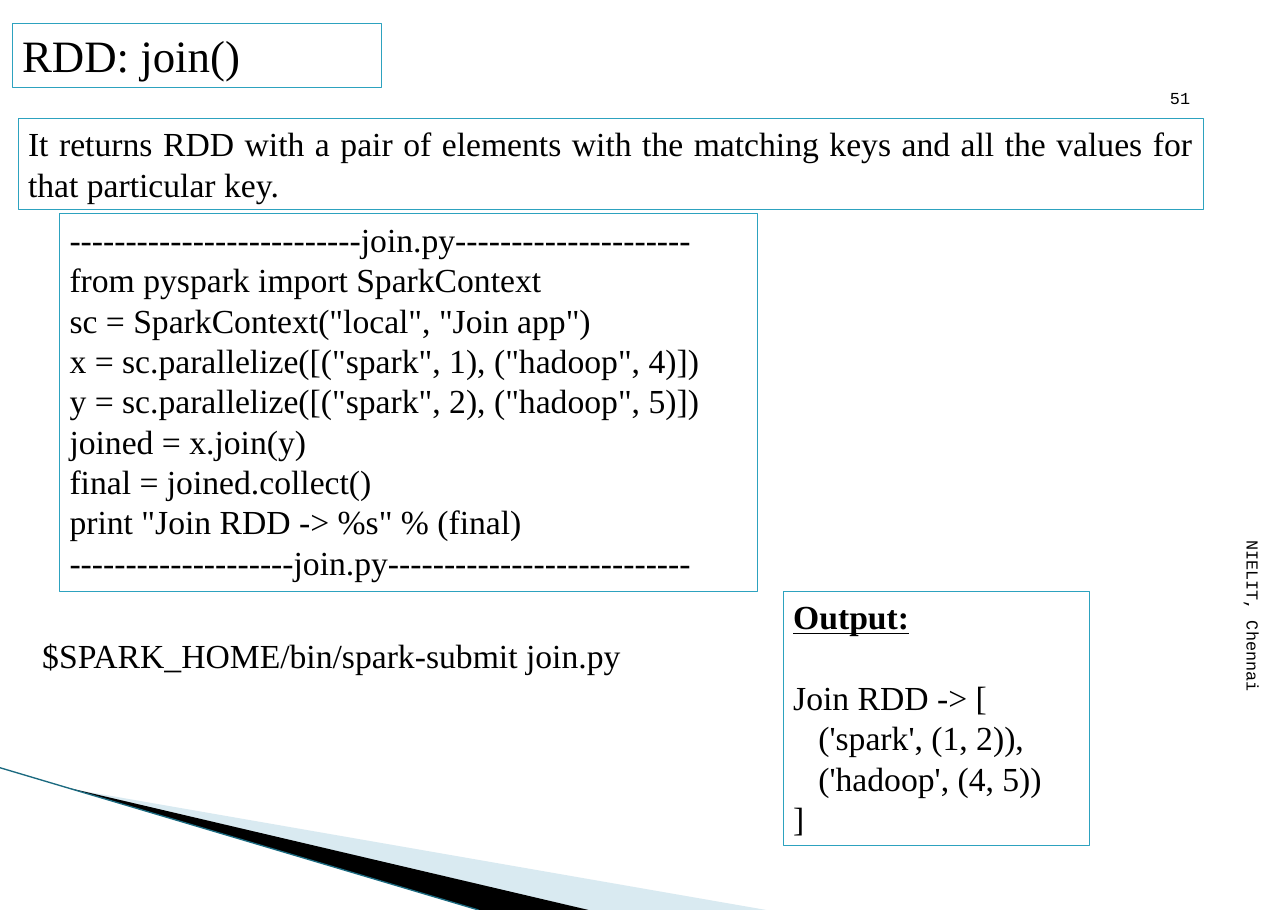
"""Build the RDD join() slide."""
from lxml.etree import SubElement
from pptx import Presentation
from pptx.dml.color import RGBColor
from pptx.enum.shapes import MSO_CONNECTOR as CONNECTOR, MSO_SHAPE as SHAPE
from pptx.enum.text import MSO_ANCHOR as ANCHOR, PP_ALIGN as ALIGN
from pptx.oxml.ns import qn
from pptx.util import Inches, Pt

WIDTH, HEIGHT = 12.76, 9.02
BLACK, TEAL, DARK_TEAL, PALE_BLUE = "000000", "2DA2BF", "1B6A80", "A0CBDC"
SERIF, MONO = "Times New Roman", "Courier New"
LINE_FACTOR = 1.2

TITLE = ["RDD: join()"]
DEFINITION = ["It returns RDD with a pair of elements with the matching keys "
              "and all the values for that particular key."]
CODE = [
    "--------------------------join.py---------------------",
    "from pyspark import SparkContext",
    'sc = SparkContext("local", "Join app")',
    'x = sc.parallelize([("spark", 1), ("hadoop", 4)])',
    'y = sc.parallelize([("spark", 2), ("hadoop", 5)])',
    "joined = x.join(y)",
    "final = joined.collect()",
    'print "Join RDD -> %s" % (final)',
    "--------------------join.py---------------------------",
]
COMMAND = ["$SPARK_HOME/bin/spark-submit join.py"]
OUTPUT = ["Output:", "Join RDD -> [", "   ('spark', (1, 2)),", "   ('hadoop', (4, 5))", "]"]

BOXES = [
    (TITLE, (0.12, 0.23, 3.66, 0.64), dict(size=32, align=ALIGN.JUSTIFY)),
    (DEFINITION, (0.18, 1.17, 11.74, 0.91), dict(align=ALIGN.JUSTIFY)),
    (CODE, (0.59, 2.12, 6.91, 3.74), dict(align=ALIGN.JUSTIFY)),
    (COMMAND, (0.32, 6.24, 7.18, 0.5), dict(border=None)),
    (OUTPUT, (7.76, 5.86, 3.03, 2.52), dict(heading=True)),
]
MARGIN_NOTES = [
    (["NIELIT, Chennai"], (9.88, 4.28, 5.07, 0.32), 90),
    (["51"], (10.8, 0.12, 1.11, 1.01), 0),
]
WEDGES = [
    ([(0.7, 7.82), (7.59, HEIGHT), (5.81, HEIGHT)], PALE_BLUE, 40),
    ([(0.68, 7.81), (5.83, HEIGHT), (4.74, HEIGHT)], BLACK, 100),
]
EDGE = [(0, 7.61), (4.74, HEIGHT)]


def color(value):
    return RGBColor.from_string(value)


def add_text(slide, lines, place, size=24, font=SERIF, align=ALIGN.LEFT,
             border=TEAL, heading=False, note=False, rotation=0):
    frame = [Inches(length) for length in place]
    if border:
        shape = slide.shapes.add_shape(SHAPE.RECTANGLE, *frame)
        shape.shadow.inherit = False
        shape.fill.background()
        shape.line.color.rgb = color(border)
        shape.line.width = Pt(0.75)
    else:
        shape = slide.shapes.add_textbox(*frame)
    shape.rotation = rotation
    text_frame = shape.text_frame
    text_frame.word_wrap = True
    text_frame.vertical_anchor = ANCHOR.BOTTOM if note else ANCHOR.TOP
    if note:
        text_frame.margin_left = text_frame.margin_right = Inches(0.12)
        text_frame.margin_top = text_frame.margin_bottom = Inches(0.06)
    for index, line in enumerate(lines):
        paragraph = text_frame.paragraphs[0] if index == 0 else text_frame.add_paragraph()
        paragraph.alignment = align
        if not note:
            paragraph.line_spacing = Pt(size * LINE_FACTOR)
        run = paragraph.add_run()
        run.text = line
        run.font.name, run.font.size = font, Pt(size)
        run.font.color.rgb = color(BLACK)
        if heading and index == 0:
            run.font.bold = run.font.underline = True
            paragraph.space_after = Pt(size * LINE_FACTOR)


def add_wedge(slide, points, fill, opacity):
    corners = [(Inches(x), Inches(y)) for x, y in points]
    builder = slide.shapes.build_freeform(*corners[0])
    builder.add_line_segments(corners[1:], close=True)
    wedge = builder.convert_to_shape()
    wedge.shadow.inherit = False
    wedge.fill.solid()
    wedge.fill.fore_color.rgb = color(fill)
    wedge.line.fill.background()
    if opacity < 100:
        fill_color = wedge.fill._xPr.find(qn("a:solidFill"))[0]
        SubElement(fill_color, qn("a:alpha")).set("val", str(opacity * 1000))


def add_edge(slide, start, end):
    ends = [Inches(length) for length in (*start, *end)]
    edge = slide.shapes.add_connector(CONNECTOR.STRAIGHT, *ends)
    edge.line.color.rgb = color(DARK_TEAL)
    edge.line.width = Pt(0.95)
    SubElement(edge._element.spPr, qn("a:effectLst"))


def main():
    presentation = Presentation()
    presentation.slide_width, presentation.slide_height = Inches(WIDTH), Inches(HEIGHT)
    slide = presentation.slides.add_slide(presentation.slide_layouts[6])
    for wedge in WEDGES:
        add_wedge(slide, *wedge)
    add_edge(slide, *EDGE)
    for lines, place, rotation in MARGIN_NOTES:
        add_text(slide, lines, place, size=12, font=MONO, align=ALIGN.RIGHT,
                 border=None, note=True, rotation=rotation)
    for lines, place, style in BOXES:
        add_text(slide, lines, place, **style)
    presentation.save("out.pptx")


if __name__ == "__main__":
    main()
